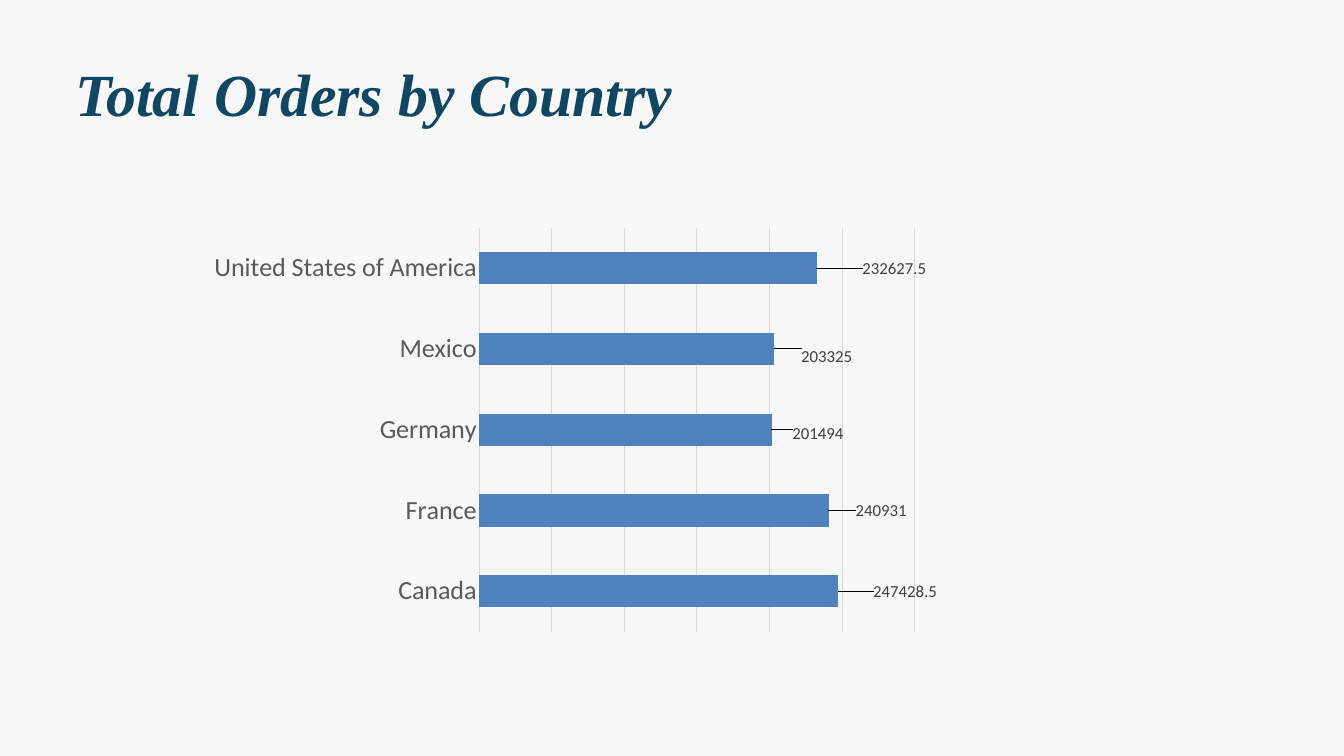
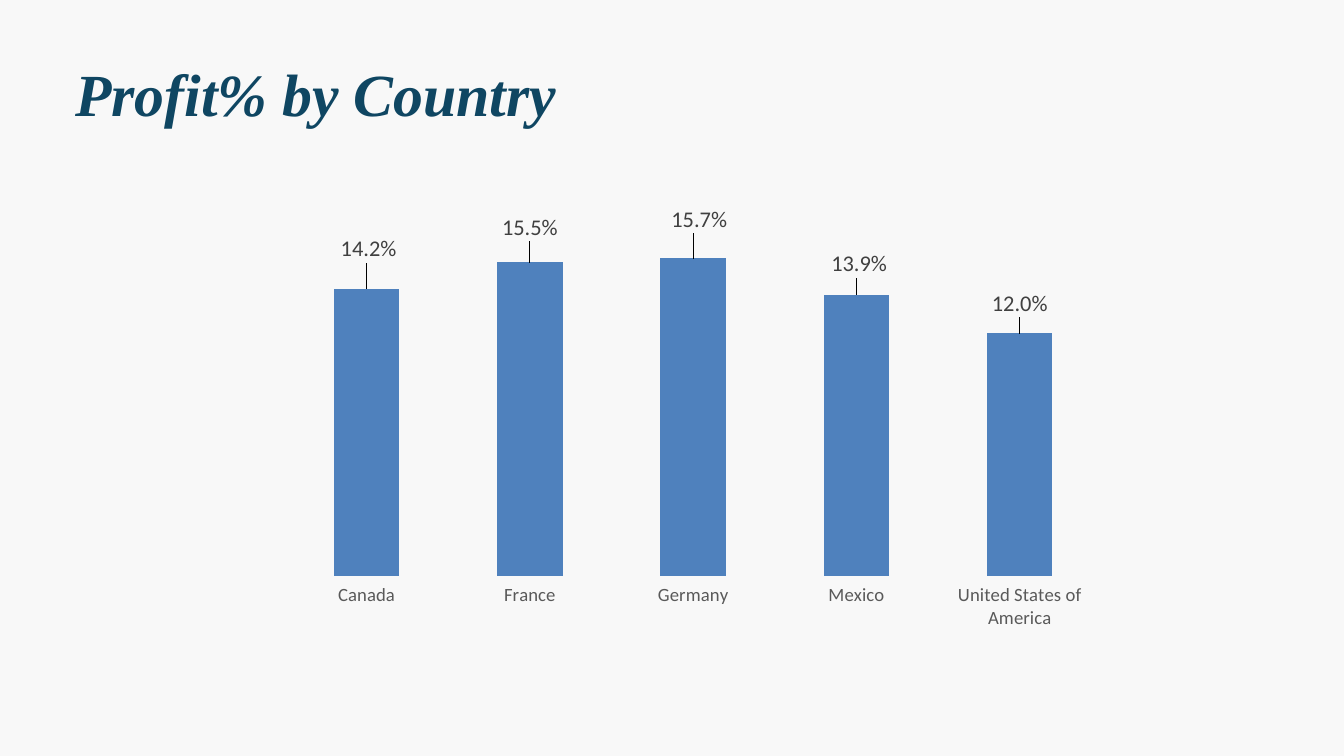
from dataclasses import dataclass

from lxml.etree import SubElement
from pptx import Presentation
from pptx.chart.data import CategoryChartData
from pptx.dml.color import RGBColor
from pptx.enum.chart import XL_CHART_TYPE, XL_LABEL_POSITION, XL_TICK_LABEL_POSITION, XL_TICK_MARK
from pptx.enum.text import MSO_ANCHOR, PP_ALIGN
from pptx.oxml import parse_xml
from pptx.oxml.ns import nsdecls, qn
from pptx.util import Inches, Pt


@dataclass(frozen=True)
class Theme:
    """Colours, fonts and type sizes of the deck."""
    paper: str = "F8F8F8"
    head: str = "0F4662"
    bar: str = "4F81BD"
    axis: str = "595959"
    label: str = "404040"
    grid: str = "D9D9D9"
    serif: str = "Times New Roman"
    sans: str = "Calibri"
    title: float = 64
    lead: float = 89.6


@dataclass(frozen=True)
class Spec:
    """One chart: its kind, box, plot box, values, label shifts and sizes."""
    kind: int
    box: tuple
    plot: tuple
    vals: tuple
    shifts: tuple
    top: float
    form: str
    cat_size: int
    val_size: int
    tick: int
    grid: bool


THEME = Theme()
LANDS = ("Canada", "France", "Germany", "Mexico", "United States of America")
ORDERS = Spec(
    XL_CHART_TYPE.BAR_CLUSTERED, (2.67, 2.88, 14.08, 7.04), (4.46, 0.51, 6.48, 6.01),
    (247428.5, 240931, 201494, 203325, 232627.5),
    ((0.48, 0), (0.36, 0), (0.27, 0.06), (0.36, 0.12), (0.64, 0)),
    300000, "General", 28, 18, XL_TICK_MARK.NONE, True)
PROFIT = Spec(
    XL_CHART_TYPE.COLUMN_CLUSTERED, (4, 2.12, 12.62, 7.83), (0.24, 1.03, 12.15, 5.43),
    (0.142, 0.155, 0.157, 0.139, 0.12),
    ((0.03, -0.34), (0, -0.27), (0.09, -0.33), (0.04, -0.21), (0, -0.19)),
    0.18, "0.0%", 20, 24, XL_TICK_MARK.OUTSIDE, False)


def style(font, face, size, tint):
    """Set the face, size and colour of a font."""
    font.name, font.size = face, Pt(size)
    font.color.rgb = RGBColor.from_string(tint)


def add_title(slide, text):
    """Fill and place the title of a slide."""
    shape = slide.shapes.title
    shape.left, shape.top, shape.width, shape.height = map(Inches, (1.12, 0.66, 12.62, 1.2))
    frame = shape.text_frame
    frame.margin_left = frame.margin_top = frame.margin_right = frame.margin_bottom = 0
    frame.vertical_anchor = MSO_ANCHOR.TOP
    para = frame.paragraphs[0]
    para.alignment, para.line_spacing = PP_ALIGN.LEFT, Pt(THEME.lead)
    run = para.add_run()
    run.text = text
    style(run.font, THEME.serif, THEME.title, THEME.head)
    run.font.bold = run.font.italic = True


def make_layout(pairs):
    """Return a manual chart layout with the given settings."""
    layout = parse_xml(f"<c:layout {nsdecls('c')}><c:manualLayout/></c:layout>")
    for tag, val in pairs:
        SubElement(layout[0], qn(f"c:{tag}")).set("val", str(val))
    return layout


def place_plot(chart, spec):
    """Fix the inner plot area inside the chart."""
    wide, high = spec.box[2:]
    parts = [size / full for size, full in zip(spec.plot, (wide, high, wide, high))]
    pairs = [("layoutTarget", "inner"), ("xMode", "edge"), ("yMode", "edge")]
    area = chart._chartSpace.find(".//" + qn("c:plotArea"))
    for old in area.findall(qn("c:layout")):
        area.remove(old)
    area.insert(0, make_layout(pairs + list(zip("xywh", parts))))


def set_labels(series, spec):
    """Show the values and shift each label from its bar end."""
    labels = series.data_labels
    labels.show_value = True
    labels.number_format, labels.number_format_is_linked = spec.form, False
    style(labels.font, THEME.sans, spec.val_size, THEME.label)
    for spot in range(len(spec.vals)):
        label = series.points[spot].data_label
        style(label.font, THEME.sans, spec.val_size, THEME.label)
        label.position = XL_LABEL_POSITION.OUTSIDE_END
    wide, high = spec.box[2:]
    for node, (right, down) in zip(series._element.findall(".//" + qn("c:dLbl")), spec.shifts):
        node.insert(1, make_layout([("x", right / wide), ("y", down / high)]))
        node.insert(2, parse_xml(
            f'<c:numFmt {nsdecls("c")} formatCode="{spec.form}" sourceLinked="0"/>'))


def set_axes(chart, spec):
    """Format the category axis and hide the value axis."""
    cats, vals = chart.category_axis, chart.value_axis
    style(cats.tick_labels.font, THEME.sans, spec.cat_size, THEME.axis)
    cats.tick_label_position = XL_TICK_LABEL_POSITION.NEXT_TO_AXIS
    cats.major_tick_mark, cats.minor_tick_mark = spec.tick, XL_TICK_MARK.NONE
    cats.has_major_gridlines = False
    cats.format.line.fill.background()
    vals.visible = False
    vals.minimum_scale, vals.maximum_scale = 0, spec.top
    vals.major_unit = spec.top / 6
    vals.has_major_gridlines = spec.grid
    if spec.grid:
        line = vals.major_gridlines.format.line
        line.color.rgb = RGBColor.from_string(THEME.grid)
        line.width = Pt(0.75)


def add_bars(slide, spec):
    """Add a chart of one series by country."""
    data = CategoryChartData(number_format=spec.form)
    data.categories = LANDS
    data.add_series("Series 1", spec.vals)
    chart = slide.shapes.add_chart(spec.kind, *map(Inches, spec.box), data).chart
    chart.has_legend = chart.has_title = False
    style(chart.font, THEME.sans, 10, "000000")
    plot = chart.plots[0]
    plot.gap_width, plot.vary_by_categories = 150, False
    series = plot.series[0]
    series.format.fill.solid()
    series.format.fill.fore_color.rgb = RGBColor.from_string(THEME.bar)
    set_axes(chart, spec)
    set_labels(series, spec)
    place_plot(chart, spec)


def main():
    """Build and save the deck."""
    deck = Presentation()
    deck.slide_width, deck.slide_height = Inches(20), Inches(11.25)
    fill = deck.slide_master.background.fill
    fill.solid()
    fill.fore_color.rgb = RGBColor.from_string(THEME.paper)
    for text, spec in (("Total Orders by Country", ORDERS), ("Profit% by Country", PROFIT)):
        slide = deck.slides.add_slide(deck.slide_layouts[5])
        add_title(slide, text)
        add_bars(slide, spec)
    deck.save("out.pptx")


if __name__ == "__main__":
    main()
